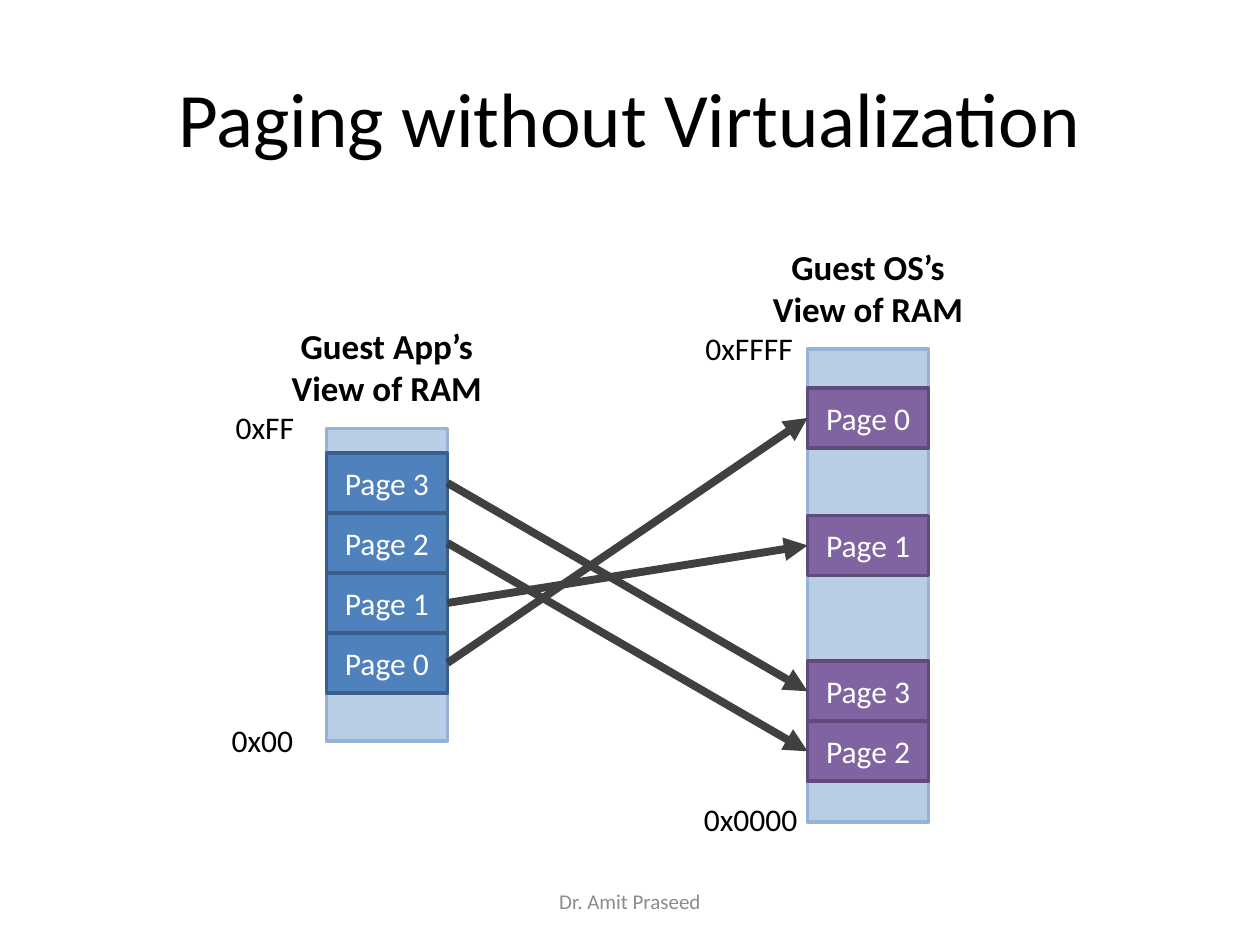
from lxml import etree
from pptx import Presentation
from pptx.dml.color import RGBColor
from pptx.enum.shapes import MSO_CONNECTOR, MSO_SHAPE
from pptx.enum.text import MSO_ANCHOR as Anchor, MSO_AUTO_SIZE as AutoSize, PP_ALIGN as Align
from pptx.oxml.ns import qn
from pptx.util import Cm, Pt

FONT = "Calibri"
BLACK = RGBColor(0x00, 0x00, 0x00)
WHITE = RGBColor(0xFF, 0xFF, 0xFF)
GREY = RGBColor(0x8C, 0x8C, 0x8C)
ARROW = RGBColor(0x40, 0x40, 0x40)
RAM_FILL = RGBColor(0xB9, 0xCD, 0xE5)
RAM_LINE = RGBColor(0x95, 0xB3, 0xD7)
APP_FILL = RGBColor(0x4F, 0x81, 0xBD)
APP_LINE = RGBColor(0x3A, 0x5F, 0x8C)
OS_FILL = RGBColor(0x80, 0x64, 0xA2)
OS_LINE = RGBColor(0x60, 0x4A, 0x7B)

# Lengths in centimetres
PAGE_W, PAGE_H = 2.44, 1.21
HEADING_W, HEADING_H, HEADING_RISE = 4.39, 1.96, 2.22
LABEL_H, LABEL_RISE = 1.02, 0.53


def write(frame, text, size=18, color=BLACK, bold=False, align=Align.CENTER,
          anchor=Anchor.TOP, wrap=True):
    """Fill a text frame, one paragraph per line of text."""
    frame.text = text
    frame.word_wrap = wrap
    frame.vertical_anchor = anchor
    for paragraph in frame.paragraphs:
        paragraph.alignment = align
        font = paragraph.runs[0].font
        font.name, font.size, font.bold = FONT, Pt(size), bold
        font.color.rgb = color


class Diagram:
    """Draws memory maps on one slide in a common style."""

    def __init__(self, slide):
        """Keep the slide to draw on."""
        self.slide = slide

    def title(self, text):
        """Place and fill the title placeholder."""
        title = self.slide.shapes.title
        title.left, title.top = Cm(1.27), Cm(0.76)
        title.width, title.height = Cm(22.86), Cm(3.18)
        write(title.text_frame, text, size=44, anchor=Anchor.MIDDLE)

    def text(self, text, left, top, width, height, **style):
        """Add a text box."""
        box = self.slide.shapes.add_textbox(Cm(left), Cm(top), Cm(width), Cm(height))
        write(box.text_frame, text, **style)
        if not style.get("wrap", True):
            box.text_frame.auto_size = AutoSize.SHAPE_TO_FIT_TEXT

    def block(self, left, top, height, fill, line, text=None):
        """Add a memory block, with a caption if one is given."""
        block = self.slide.shapes.add_shape(
            MSO_SHAPE.RECTANGLE, Cm(left), Cm(top), Cm(PAGE_W), Cm(height))
        block.shadow.inherit = False
        block.fill.solid()
        block.fill.fore_color.rgb = fill
        block.line.color.rgb = line
        block.line.width = Pt(2)
        if text:
            write(block.text_frame, text, color=WHITE, anchor=Anchor.MIDDLE)
        return block

    def memory(self, heading, left, top, height, pages, fill, line):
        """Draw a view of RAM and return its page blocks by number."""
        self.block(left, top, height, RAM_FILL, RAM_LINE)
        self.text(heading, left + (PAGE_W - HEADING_W) / 2, top - HEADING_RISE,
                  HEADING_W, HEADING_H, size=20, bold=True, wrap=False)
        return {number: self.block(left, page_top, PAGE_H, fill, line, f"Page {number}")
                for number, page_top in pages.items()}

    def address(self, text, left, edge, width):
        """Label the edge of a memory map with its address."""
        self.text(text, left, edge - LABEL_RISE, width, LABEL_H,
                  align=Align.LEFT, wrap=False)

    def arrow(self, source, target):
        """Link the right side of one block to the left side of another."""
        arrow = self.slide.shapes.add_connector(MSO_CONNECTOR.STRAIGHT, 0, 0, 0, 0)
        arrow.begin_connect(source, 3)
        arrow.end_connect(target, 1)
        arrow.line.color.rgb = ARROW
        arrow.line.width = Pt(4.5)
        etree.SubElement(arrow.line._get_or_add_ln(), qn("a:tailEnd"), type="triangle")
        etree.SubElement(arrow._element.spPr, qn("a:effectLst"))


def main():
    """Build and save the slide."""
    deck = Presentation()
    deck.slide_width, deck.slide_height = Cm(25.4), Cm(19.05)
    diagram = Diagram(deck.slides.add_slide(deck.slide_layouts[5]))
    diagram.title("Paging without Virtualization")

    app_tops = {number: 9.13 + row * PAGE_H for row, number in enumerate((3, 2, 1, 0))}
    app_pages = diagram.memory("Guest App’s\nView of RAM", 6.58, 8.64, 6.3,
                               app_tops, APP_FILL, APP_LINE)
    os_tops = {3: 13.33, 2: 13.33 + PAGE_H, 1: 10.39, 0: 7.82}
    os_pages = diagram.memory("Guest OS’s\nView of RAM", 16.28, 7.04, 9.53,
                              os_tops, OS_FILL, OS_LINE)

    for address in (("0xFFFF", 13.97, 7.04, 2.29), ("0x0000", 13.94, 16.53, 2.41),
                    ("0xFF", 4.5, 8.64, 1.7), ("0x00", 4.42, 14.94, 1.75)):
        diagram.address(*address)
    for number, page in app_pages.items():
        diagram.arrow(page, os_pages[number])

    diagram.text("Dr. Amit Praseed", 8.68, 17.65, 8.04, 1.02,
                 size=12, color=GREY, anchor=Anchor.MIDDLE)
    deck.save("out.pptx")


main()
